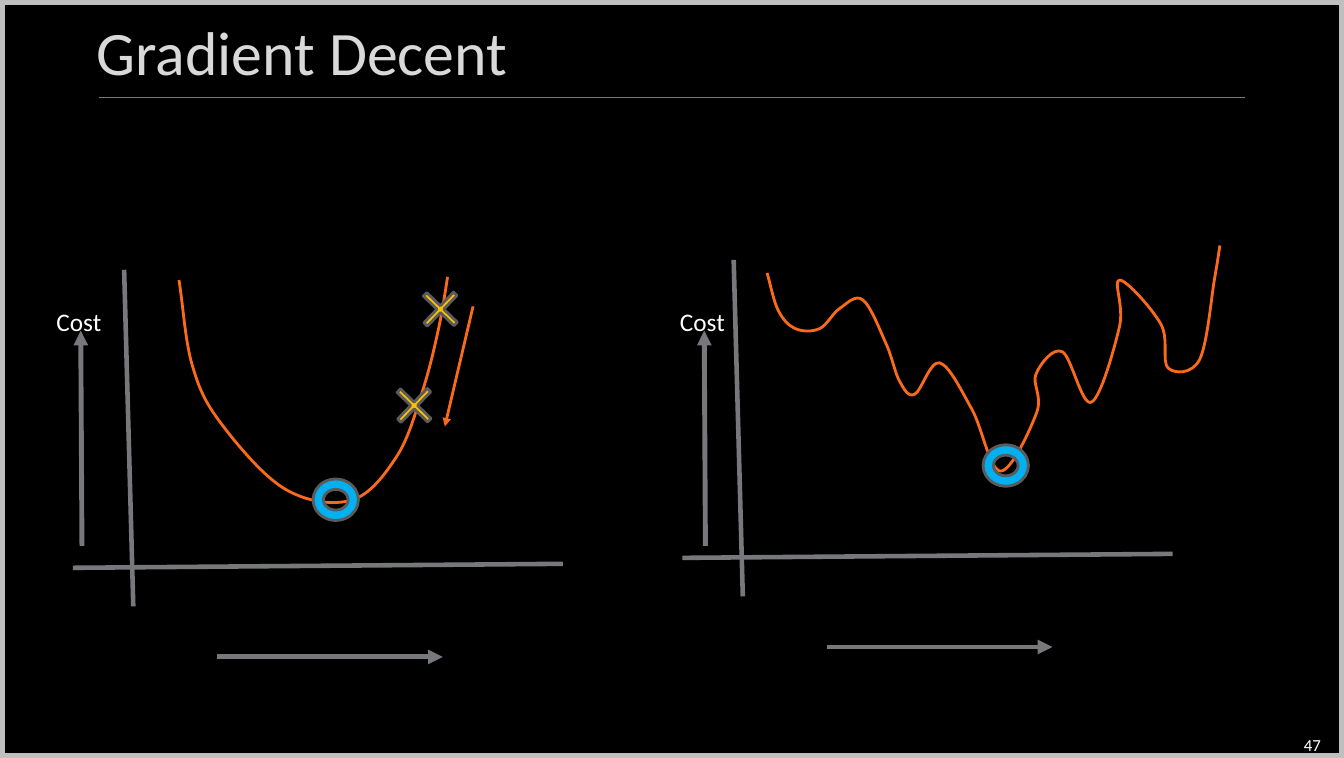
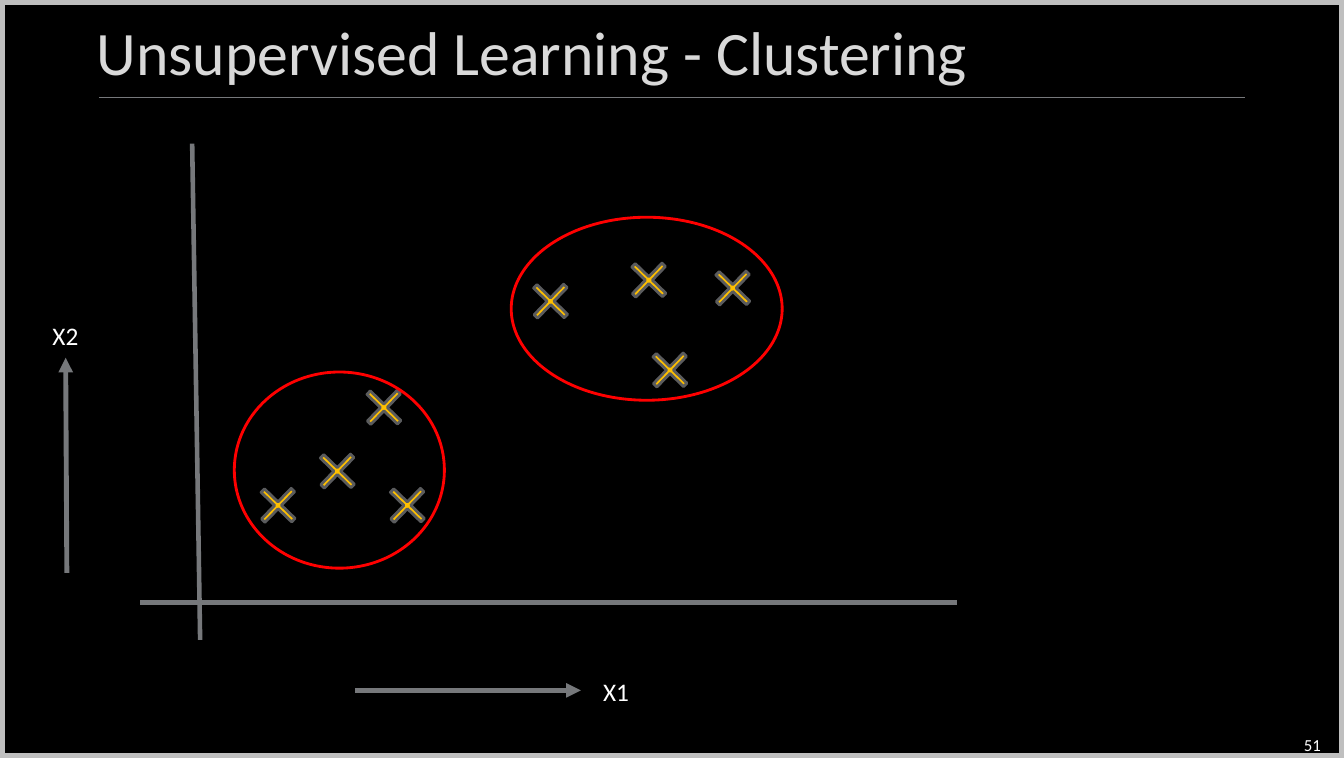
from lxml import etree
from pptx import Presentation
from pptx.dml.color import RGBColor
from pptx.enum.shapes import MSO_CONNECTOR, MSO_SHAPE
from pptx.enum.text import MSO_ANCHOR, PP_ALIGN
from pptx.oxml.ns import qn
from pptx.util import Cm, Pt

STRAIGHT = MSO_CONNECTOR.STRAIGHT
RECTANGLE = MSO_SHAPE.RECTANGLE
CROSS = MSO_SHAPE.CROSS
DONUT = MSO_SHAPE.DONUT
OVAL = MSO_SHAPE.OVAL
TOP, MIDDLE = MSO_ANCHOR.TOP, MSO_ANCHOR.MIDDLE
LEFT, RIGHT = PP_ALIGN.LEFT, PP_ALIGN.RIGHT

WIDTH, HEIGHT = 33.78, 19.05
COLORS = {
    "background": "000000",
    "frame": "BFBFBF",
    "title": "D9D9D9",
    "text": "FFFFFF",
    "axis": "76787B",
    "outline": "5A5B5D",
    "curve": "F96A1B",
    "cross": "FFC000",
    "minimum": "00B0F0",
    "cluster": "FF0000",
}


def color(name):
    return RGBColor.from_string(COLORS[name])


class Slides:
    """Shared style and the page being drawn; all positions are in cm."""

    def __init__(self):
        self.deck = Presentation()
        self.deck.slide_width = Cm(WIDTH)
        self.deck.slide_height = Cm(HEIGHT)
        self.page = None

    def new_page(self, title, number):
        self.page = self.deck.slides.add_slide(self.deck.slide_layouts[6])
        background = self.page.background.fill
        background.solid()
        background.fore_color.rgb = color("background")
        self.shape(RECTANGLE, (0, 0, WIDTH, HEIGHT), "frame", line_width=7.25)
        self.text(title, (2.18, 0, 29.11, 2.54), 44, "title", MIDDLE)
        self.line((2.49, 2.46), (31.29, 2.46), 0.75)
        self.text(number, (25.58, 18.21, 7.87, 1.02), 12, "text", MIDDLE, RIGHT)

    def text(self, words, area, size, ink, anchor=TOP, align=LEFT, wrap=True):
        box = self.page.shapes.add_textbox(*map(Cm, area))
        frame = box.text_frame
        frame.word_wrap = wrap
        frame.vertical_anchor = anchor
        para = frame.paragraphs[0]
        para.alignment = align
        span = para.add_run()
        span.text = words
        span.font.name = "Calibri"
        span.font.size = Pt(size)
        span.font.color.rgb = color(ink)

    def label(self, words, left, top, width):
        self.text(words, (left, top, width, 1.02), 18, "text", wrap=False)

    def line(self, start, end, width, ink="axis", arrow=False):
        connector = self.page.shapes.add_connector(
            STRAIGHT, *map(Cm, (*start, *end)))
        connector.line.color.rgb = color(ink)
        connector.line.width = Pt(width)
        if arrow:
            outline = connector.line._get_or_add_ln()
            etree.SubElement(outline, qn("a:tailEnd"), type="triangle")
        etree.SubElement(connector._element.spPr, qn("a:effectLst"))

    def axis(self, start, end):
        self.line(start, end, 3.25)

    def direction(self, start, end):
        self.line(start, end, 3.5, arrow=True)

    def paint(self, shape, line, fill, line_width):
        shape.shadow.inherit = False
        shape.line.color.rgb = color(line)
        shape.line.width = Pt(line_width)
        if fill:
            shape.fill.solid()
            shape.fill.fore_color.rgb = color(fill)
        else:
            shape.fill.background()

    def shape(self, kind, area, line, fill=None, line_width=2):
        shape = self.page.shapes.add_shape(kind, *map(Cm, area))
        self.paint(shape, line, fill, line_width)
        return shape

    def cross(self, x, y, size=1.07):
        """Draw a cross centred on x, y."""
        area = (x - size / 2, y - size / 2, size, size)
        cross = self.shape(CROSS, area, "outline", "cross")
        cross.adjustments[0] = 0.443
        cross.rotation = 314.1

    def minimum(self, left, top):
        self.shape(DONUT, (left, top, 1.14, 1.04), "outline", "minimum")

    def curve(self, anchors):
        """Draw a smooth curve whose tangents follow the neighbouring anchors."""
        last = len(anchors) - 1
        slopes = [(0, 0)] * (last + 1)
        for i in range(last):
            before, after = anchors[max(i - 1, 0)], anchors[i + 1]
            share = 6 if i else 3
            slopes[i] = tuple((b - a) / share for a, b in zip(before, after))
        points = []
        for i in range(last):
            (x1, y1), (x2, y2) = anchors[i:i + 2]
            (dx1, dy1), (dx2, dy2) = slopes[i:i + 2]
            points += [(x1 + dx1, y1 + dy1), (x2 - dx2, y2 - dy2), (x2, y2)]

        builder = self.page.shapes.build_freeform(*map(Cm, anchors[0]))
        builder.add_line_segments(
            [(Cm(x), Cm(y)) for x, y in points], close=False)
        shape = builder.convert_to_shape()
        segments = shape._element.xpath(".//a:lnTo")
        for i in range(0, len(segments), 3):
            bend = etree.Element(qn("a:cubicBezTo"))
            segments[i].addprevious(bend)
            for segment in segments[i:i + 3]:
                bend.append(segment[0])
                segment.getparent().remove(segment)
        self.paint(shape, "curve", None, 2)

    def cost_plot(self, dx, dy, cost_dx, anchors, minimum):
        """Draw axes moved by dx, dy, with a cost curve and its minimum."""
        self.axis((3.12 + dx, 6.78 + dy), (3.35 + dx, 15.24 + dy))
        self.axis((14.15 + dx, 14.17 + dy), (1.83 + dx, 14.27 + dy))
        self.direction((5.46 + dx, 16.51 + dy), (11.13 + dx, 16.51 + dy))
        self.direction((2.06 + cost_dx, 13.72), (2.03 + cost_dx, 8.31))
        self.label("Cost", 1.17 + cost_dx, 7.57, 1.65)
        self.curve(anchors)
        self.minimum(*minimum)


CONVEX_CURVE = [
    (4.5, 7.04), (4.83, 9.17), (5.54, 10.62), (7.16, 12.29), (8.84, 12.57),
    (9.98, 11.46), (10.62, 9.83), (11.02, 8.28), (11.25, 6.96),
]
WAVY_CURVE = [
    (19.28, 6.86), (19.56, 7.8), (19.99, 8.26), (20.6, 8.26), (21.11, 7.75),
    (21.69, 7.54), (22.28, 8.66), (22.61, 9.58), (22.99, 9.91), (23.62, 9.12),
    (24.43, 10.29), (25.15, 11.84), (26.06, 10.36), (26.04, 9.4),
    (26.7, 8.84), (27.43, 10.11), (28.14, 8.2), (28.14, 7.04), (29.18, 8.15),
    (29.36, 9.25), (30.15, 9.04), (30.53, 6.99), (30.66, 6.17),
]
DESCENT_STEPS = [(11.07, 7.77), (10.41, 10.19)]
CLUSTERS = [
    ((5.89, 9.35, 5.28, 4.93),
     [(6.99, 12.7), (8.48, 11.84), (10.24, 12.7), (9.65, 10.24)]),
    ((12.85, 5.46, 6.81, 4.6),
     [(16.84, 9.3), (13.84, 7.57), (16.31, 7.04), (18.42, 7.24)]),
]


def gradient_page(slides):
    slides.new_page("Gradient Decent", "47")
    slides.cost_plot(0, 0, 0, CONVEX_CURVE, (7.87, 12.04))
    slides.cost_plot(15.32, -0.25, 15.67, WAVY_CURVE, (24.71, 11.18))
    for x, y in DESCENT_STEPS:
        slides.cross(x, y)
    slides.line((11.89, 7.7), (11.18, 10.72), 2, "curve", arrow=True)


def clustering_page(slides):
    slides.new_page("Unsupervised Learning - Clustering", "51")
    slides.axis((4.83, 3.61), (5.03, 16.08))
    slides.axis((24.05, 15.14), (3.53, 15.14))
    slides.direction((8.92, 17.35), (14.6, 17.35))
    slides.label("X1", 14.91, 16.87, 1.17)
    slides.direction((1.68, 14.4), (1.65, 8.99))
    slides.label("X2", 1.07, 7.92, 1.17)
    for area, members in CLUSTERS:
        for x, y in members:
            slides.cross(x, y)
        slides.shape(OVAL, area, "cluster")


def main():
    slides = Slides()
    gradient_page(slides)
    clustering_page(slides)
    slides.deck.save("out.pptx")


if __name__ == "__main__":
    main()
